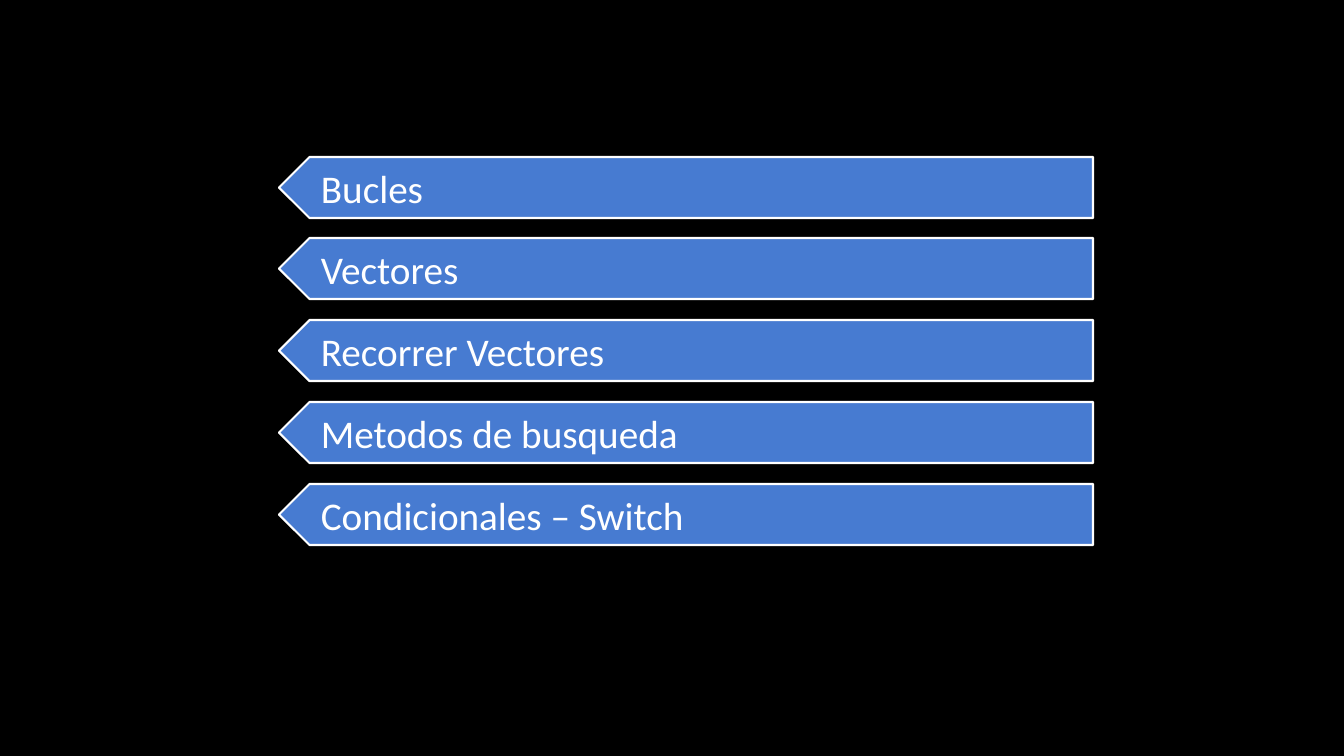
from pptx import Presentation
from pptx.dml.color import RGBColor
from pptx.enum.shapes import MSO_SHAPE as SHAPE
from pptx.enum.text import MSO_ANCHOR as ANCHOR, PP_ALIGN as ALIGN
from pptx.util import Emu, Pt

TOPICS = ["Bucles", "Vectores", "Recorrer Vectores", "Metodos de busqueda",
          "Condicionales – Switch"]
FIRST_TOP, LAST_TOP = 157, 484
BAR_LEFT, BAR_WIDTH, BAR_HEIGHT = 279, 814, 61
TEXT_INDENT = 15


def px(n):
    return Emu(round(n * 914400 / 100.8))


def color(hex_string):
    return RGBColor.from_string(hex_string)


class TopicSlide:
    font = "Calibri"
    size = 28
    background = "000000"
    bar = "477BD1"
    ink = "FFFFFF"

    def __init__(self, prs):
        self.slide = prs.slides.add_slide(prs.slide_layouts[6])
        fill = self.slide.background.fill
        fill.solid()
        fill.fore_color.rgb = color(self.background)

    def add_arrow(self, group, x, y, w, h):
        s = group.shapes.add_shape(SHAPE.PENTAGON, px(x), px(y), px(w), px(h))
        s.rotation = 180
        s.shadow.inherit = False
        s.fill.solid()
        s.fill.fore_color.rgb = color(self.bar)
        s.line.color.rgb = color(self.ink)
        s.line.width = Pt(1.5)

    def add_label(self, group, text, x, y, w, h):
        tf = group.shapes.add_textbox(px(x), px(y), px(w), px(h)).text_frame
        tf.word_wrap = True
        tf.vertical_anchor = ANCHOR.MIDDLE
        tf.margin_left, tf.margin_right = px(27), px(19)
        tf.margin_top = tf.margin_bottom = px(10)
        p = tf.paragraphs[0]
        p.alignment = ALIGN.LEFT
        r = p.add_run()
        r.text = text
        r.font.name = self.font
        r.font.size = Pt(self.size)
        r.font.color.rgb = color(self.ink)

    def add_topic(self, text, top):
        """Group a left-pointing bar with its label."""
        group = self.slide.shapes.add_group_shape()
        self.add_arrow(group, BAR_LEFT, top, BAR_WIDTH, BAR_HEIGHT)
        self.add_label(group, text, BAR_LEFT + TEXT_INDENT, top,
                       BAR_WIDTH - TEXT_INDENT, BAR_HEIGHT)


def main():
    prs = Presentation()
    prs.slide_width, prs.slide_height = px(1344), px(756)
    topic_slide = TopicSlide(prs)
    for i, topic in enumerate(TOPICS):
        top = FIRST_TOP + i * (LAST_TOP - FIRST_TOP) // (len(TOPICS) - 1)
        topic_slide.add_topic(topic, top)
    prs.save("out.pptx")


if __name__ == "__main__":
    main()
